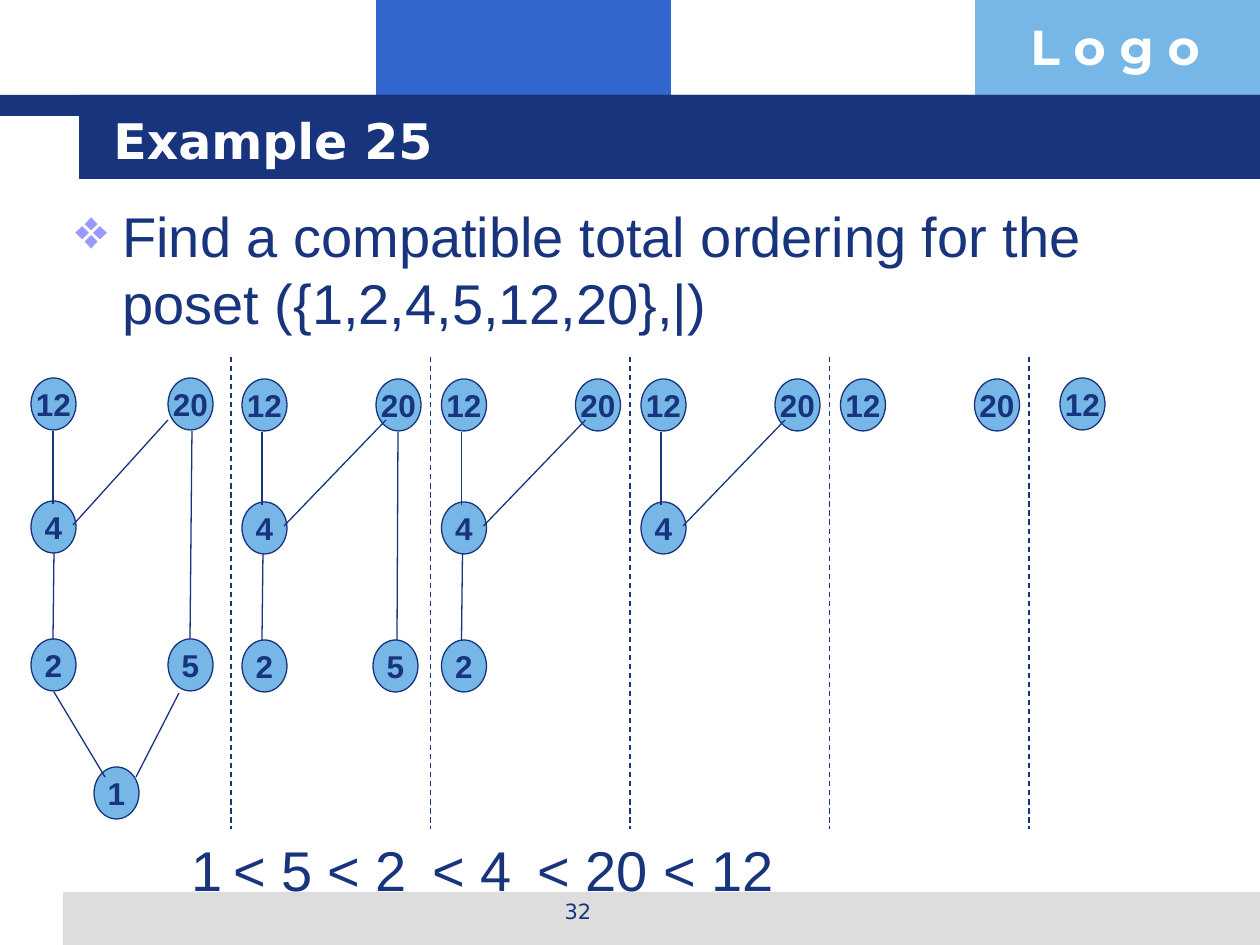
from lxml import etree
from pptx import Presentation
from pptx import util as u
from pptx.dml.color import RGBColor
from pptx.enum import dml, shapes, text
from pptx.oxml import ns

COLORS = {
    "navy": "17347D",
    "blue": "3366CC",
    "sky": "77B7E7",
    "gray": "DDDDDD",
    "lilac": "9999FF",
    "white": "FFFFFF",
}
SLIDE_SIZE = (1260, 945)
NODE_SIZE = (45, 52)
BANDS = [
    ("blue", 376, 0, 295, 116),
    ("sky", 975, 0, 285, 116),
    ("gray", 63, 892, 1197, 53),
    ("navy", 0, 95, 1260, 21),
    ("navy", 79, 95, 1181, 84),
]

FULL_NODES = {
    "4": (31, 501), "2": (31, 639), "20": (168, 378),
    "12": (31, 378), "1": (94, 767), "5": (168, 639),
}
FULL_EDGES = {
    ("4", "20"): (73, 525, 168, 420),
    ("4", "2"): (54, 553, 53, 640),
    ("20", "5"): (192, 431, 190, 639),
    ("2", "1"): (54, 692, 105, 777),
    ("5", "1"): (179, 693, 136, 777),
    ("12", "4"): (53, 431, 53, 504),
}
STEP_NODES = {
    "4": (11, 502), "2": (11, 640), "20": (145, 379),
    "12": (11, 379), "5": (142, 640),
}
STEP_EDGES = {
    ("4", "20"): (53, 526, 155, 420),
    ("4", "2"): (32, 554, 31, 641),
    ("20", "5"): (167, 432, 166, 640),
    ("12", "4"): (31, 432, 31, 505),
}
REMOVED = ["5", "2", "4"]
DIVIDER_LEFT, DIVIDER_PITCH, DIVIDER_COUNT = 231, 199.5, 5
DIVIDER_TOP, DIVIDER_BOTTOM = 357, 829

ORDERING = [
    ("1", 179, 84),
    ("< 5", 221, 116),
    ("< 2", 315, 116),
    ("< 4", 420, 116),
    ("< 20", 525, 147),
    ("< 12", 651, 136),
]


def px(length):
    return u.Emu(round(length * 914400 / 126))


def color(name):
    return RGBColor.from_string(COLORS[name])


def add_span(para, words, size, font="Arial", ink="navy", bold=False):
    span = para.add_run()
    span.text = words
    span.font.size = u.Pt(size)
    span.font.name = font
    span.font.bold = bold
    span.font.color.rgb = color(ink)


def add_band(page, fill, *frame):
    band = page.shapes.add_shape(shapes.MSO_SHAPE.RECTANGLE, *map(px, frame))
    band.shadow.inherit = False
    band.fill.solid()
    band.fill.fore_color.rgb = color(fill)
    band.line.fill.background()


def add_words(page, frame, words, size, **style):
    box = page.shapes.add_textbox(*map(px, frame))
    box.text_frame.word_wrap = True
    para = box.text_frame.paragraphs[0]
    add_span(para, words, size, **style)
    return box


def add_bullet(para, sign, ink, indent):
    props = para._p.get_or_add_pPr()
    props.set("marL", str(px(indent)))
    props.set("indent", str(px(-indent)))
    tint = etree.SubElement(props, ns.qn("a:buClr"))
    etree.SubElement(tint, ns.qn("a:srgbClr"), val=COLORS[ink])
    etree.SubElement(props, ns.qn("a:buChar"), char=sign)


def add_node(page, label, left, top):
    node = page.shapes.add_shape(
        shapes.MSO_SHAPE.OVAL, *map(px, (left, top, *NODE_SIZE)))
    node.shadow.inherit = False
    node.fill.solid()
    node.fill.fore_color.rgb = color("sky")
    node.line.color.rgb = color("navy")
    node.line.width = u.Pt(0.75)
    frame = node.text_frame
    frame.word_wrap = False
    frame.vertical_anchor = text.MSO_ANCHOR.MIDDLE
    para = frame.paragraphs[0]
    para.alignment = text.PP_ALIGN.CENTER
    add_span(para, label, 18, bold=True)


def add_line(page, *ends, dashed=False):
    line = page.shapes.add_connector(
        shapes.MSO_CONNECTOR.STRAIGHT, *map(px, ends))
    line.line.color.rgb = color("navy")
    line.line.width = u.Pt(0.75)
    if dashed:
        line.line.dash_style = dml.MSO_LINE.DASH
    etree.SubElement(line._element.spPr, ns.qn("a:effectLst"))


def add_diagram(page, origin, nodes, edges):
    for label, (left, top) in nodes.items():
        add_node(page, label, origin + left, top)
    for (upper, lower), (x1, y1, x2, y2) in edges.items():
        if upper in nodes and lower in nodes:
            add_line(page, origin + x1, y1, origin + x2, y2)


def add_steps(page):
    add_diagram(page, 0, FULL_NODES, FULL_EDGES)
    for step in range(DIVIDER_COUNT):
        left = DIVIDER_LEFT + step * DIVIDER_PITCH
        add_line(page, left, DIVIDER_TOP, left, DIVIDER_BOTTOM, dashed=True)
        if step <= len(REMOVED):
            kept = {label: place for label, place in STEP_NODES.items()
                    if label not in REMOVED[:step]}
            add_diagram(page, left, kept, STEP_EDGES)
    add_node(page, "12", 1060, 378)


def add_heading(page):
    add_words(page, (1018, 10, 242, 72), "L o g o", 28,
              font="Montserrat", ink="white", bold=True)
    number = add_words(page, (431, 892, 294, 44), "32", 12, font="DejaVu Sans")
    number.text_frame.paragraphs[0].alignment = text.PP_ALIGN.CENTER
    title = add_words(page, (101, 101, 1075, 78), "Example 25", 28,
                      font="DejaVu Sans", ink="white", bold=True)
    title.text_frame.vertical_anchor = text.MSO_ANCHOR.MIDDLE
    task = add_words(
        page, (63, 195, 1134, 171),
        "Find a compatible total ordering for the poset ({1,2,4,5,12,20},|)", 32)
    add_bullet(task.text_frame.paragraphs[0], "❖", "lilac", 47)


def main():
    deck = Presentation()
    deck.slide_width, deck.slide_height = map(px, SLIDE_SIZE)
    page = deck.slides.add_slide(deck.slide_layouts[6])
    for band in BANDS:
        add_band(page, *band)
    add_heading(page)
    add_steps(page)
    for words, left, width in ORDERING:
        add_words(page, (left, 829, width, 63), words, 32)
    deck.save("out.pptx")


if __name__ == "__main__":
    main()
